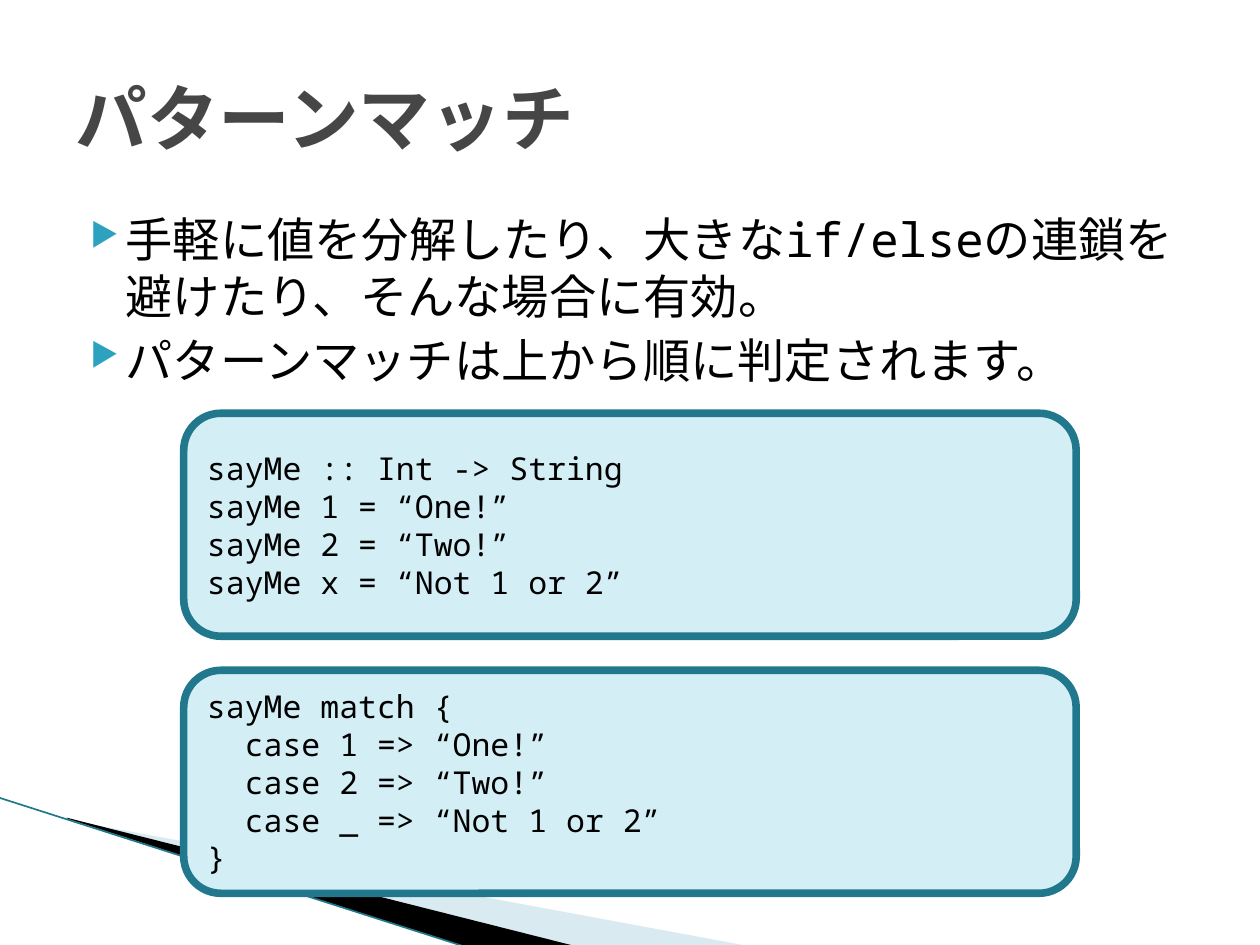
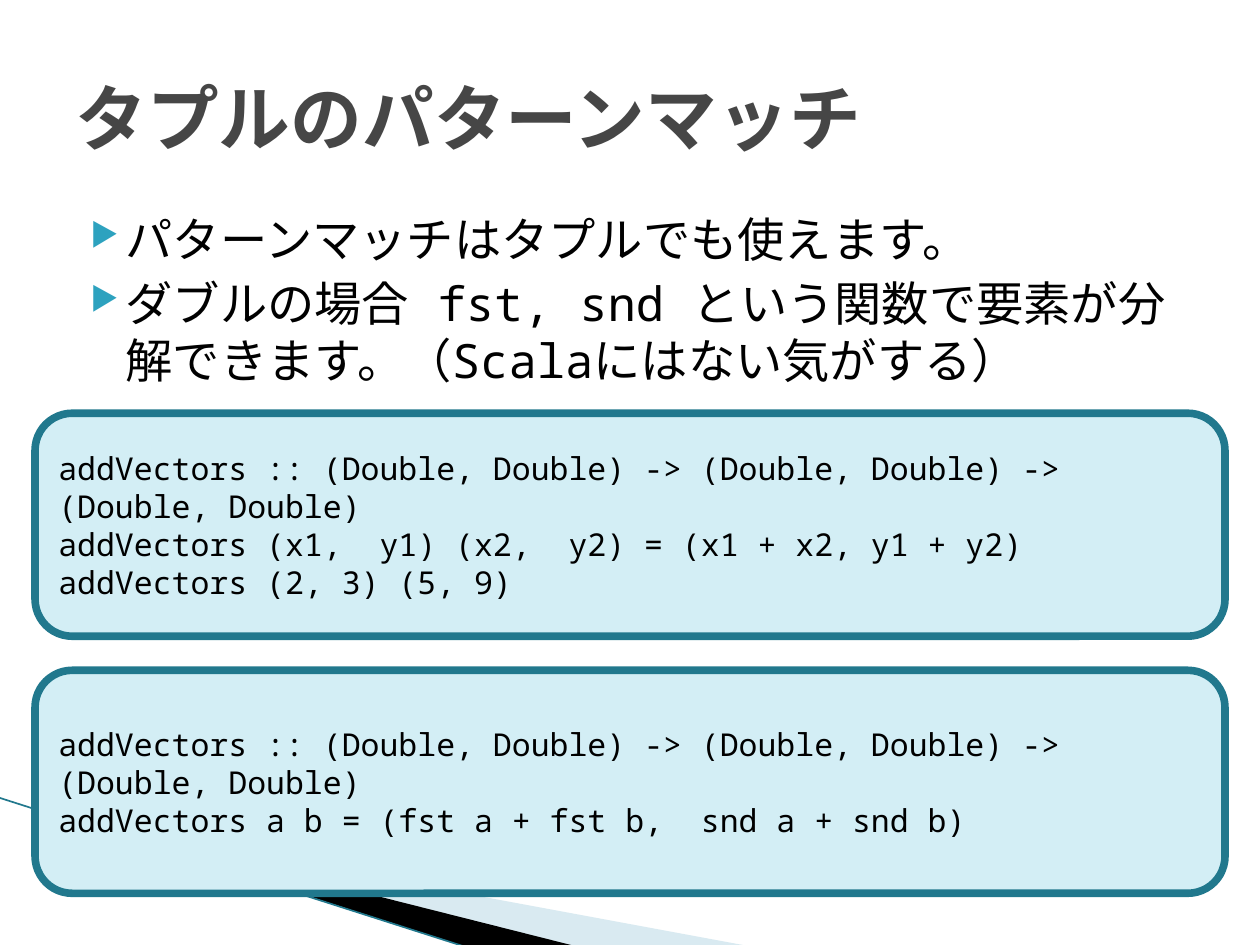
"""Build two slides on pattern matching with bullets and code boxes."""
from lxml.etree import SubElement
from pptx import Presentation
from pptx.dml.color import RGBColor
from pptx.enum.lang import MSO_LANGUAGE_ID
from pptx.enum.shapes import MSO_CONNECTOR, MSO_SHAPE
from pptx.enum.text import MSO_ANCHOR, PP_ALIGN
from pptx.oxml.ns import qn
from pptx.util import Pt

BLACK = RGBColor(0x00, 0x00, 0x00)
GREY = RGBColor(0x46, 0x46, 0x46)
TEAL = RGBColor(0x2D, 0xA2, 0xBF)
DARK_TEAL = RGBColor(0x21, 0x78, 0x8D)
PALE_TEAL = RGBColor(0xD3, 0xEE, 0xF5)
MIST = RGBColor(0xA0, 0xCB, 0xDC)
FONT = "Noto Sans Mono"
WIDTH, HEIGHT = 720, 540

SLIDES = [
    {
        "title": "パターンマッチ",
        "bullets": [
            "手軽に値を分解したり、大きなif/elseの連鎖を避けたり、そんな場合に有効。",
            "パターンマッチは上から順に判定されます。",
        ],
        "box_width": 510,
        "codes": [
            [
                "sayMe :: Int -> String",
                "sayMe 1 = “One!”",
                "sayMe 2 = “Two!”",
                "sayMe x = “Not 1 or 2”",
            ],
            [
                "sayMe match {",
                "  case 1 => “One!”",
                "  case 2 => “Two!”",
                "  case _ => “Not 1 or 2”",
                "}",
            ],
        ],
    },
    {
        "title": "タプルのパターンマッチ",
        "bullets": [
            "パターンマッチはタプルでも使えます。",
            "ダブルの場合 fst, snd という関数で要素が分解できます。（Scalaにはない気がする）",
        ],
        "box_width": 680,
        "codes": [
            [
                "addVectors :: (Double, Double) -> (Double, Double) -> (Double, Double)",
                "addVectors (x1,  y1) (x2,  y2) = (x1 + x2, y1 + y2)",
                "addVectors (2, 3) (5, 9)",
            ],
            [
                "addVectors :: (Double, Double) -> (Double, Double) -> (Double, Double)",
                "addVectors a b = (fst a + fst b,  snd a + snd b)",
            ],
        ],
    },
]

TITLE_AREA = (36, 21.6, 648, 90)
BODY_AREA = (36, 116.64, 648, 356.4)
BOX_TOP, BOX_HEIGHT, BOX_PITCH = 236.16, 127.44, 146.88
WEDGES = [
    ([(39.6, 468.72), (428.4, 540.72), (328.32, 540.72), (39.6, 468)], MIST, 40),
    ([(38.16, 467.28), (329.04, 540.72), (267.84, 541.44), (38.88, 468)], BLACK, 100),
]
EDGE = (-0.72, 455.76, 267.12, 541.44)

TITLE_STYLE = {"size": Pt(41), "bold": True}
BODY_STYLE = {"size": Pt(27)}
CODE_STYLE = {"size": Pt(18)}
SHARED_STYLE = {"name": FONT, "language_id": MSO_LANGUAGE_ID.JAPANESE}


def points(values):
    return [Pt(v) for v in values]


def write(tf, lines, style, color=BLACK, anchor=MSO_ANCHOR.MIDDLE):
    tf.word_wrap = True
    tf.vertical_anchor = anchor
    for i, line in enumerate(lines):
        p = tf.paragraphs[0] if i == 0 else tf.add_paragraph()
        p.alignment = PP_ALIGN.LEFT
        r = p.add_run()
        r.text = line
        for key, value in {**SHARED_STYLE, **style}.items():
            setattr(r.font, key, value)
        r.font.color.rgb = color
        SubElement(r.font._element, qn("a:ea"), typeface=FONT)


def add_bullet(p):
    p.space_before = Pt(4)
    pPr = p._p.get_or_add_pPr()
    pPr.set("marL", str(Pt(28.8)))
    pPr.set("indent", str(Pt(-20.16)))
    clr = SubElement(pPr, qn("a:buClr"))
    SubElement(clr, qn("a:srgbClr"), val=str(TEAL))
    SubElement(pPr, qn("a:buSzPct"), val="68000")
    SubElement(pPr, qn("a:buChar"), char="▶")


def add_backdrop(s):
    for corners, color, opacity in WEDGES:
        start, *rest = [points(c) for c in corners]
        fb = s.shapes.build_freeform(*start)
        fb.add_line_segments(rest, close=True)
        sp = fb.convert_to_shape()
        sp.shadow.inherit = False
        sp.fill.solid()
        sp.fill.fore_color.rgb = color
        sp.line.fill.background()
        if opacity < 100:
            clr = sp._element.spPr.find(qn("a:solidFill"))[0]
            SubElement(clr, qn("a:alpha"), val=str(opacity * 1000))
    line = s.shapes.add_connector(MSO_CONNECTOR.STRAIGHT, *points(EDGE))
    line.line.color.rgb = DARK_TEAL
    line.line.width = Pt(0.95)
    SubElement(line._element.spPr, qn("a:effectLst"))


def add_code_box(s, row, width, lines):
    area = ((WIDTH - width) / 2, BOX_TOP + row * BOX_PITCH, width, BOX_HEIGHT)
    sp = s.shapes.add_shape(MSO_SHAPE.ROUNDED_RECTANGLE, *points(area))
    sp.shadow.inherit = False
    sp.fill.solid()
    sp.fill.fore_color.rgb = PALE_TEAL
    sp.line.color.rgb = DARK_TEAL
    sp.line.width = Pt(4.33)
    write(sp.text_frame, lines, CODE_STYLE)


def add_slide(prs, content):
    s = prs.slides.add_slide(prs.slide_layouts[6])
    add_backdrop(s)
    body = s.shapes.add_textbox(*points(BODY_AREA)).text_frame
    write(body, content["bullets"], BODY_STYLE, anchor=MSO_ANCHOR.TOP)
    for p in body.paragraphs:
        add_bullet(p)
    title = s.shapes.add_textbox(*points(TITLE_AREA)).text_frame
    write(title, [content["title"]], TITLE_STYLE, GREY)
    for row, lines in enumerate(content["codes"]):
        add_code_box(s, row, content["box_width"], lines)


prs = Presentation()
prs.slide_width, prs.slide_height = Pt(WIDTH), Pt(HEIGHT)
for content in SLIDES:
    add_slide(prs, content)
prs.save("out.pptx")
